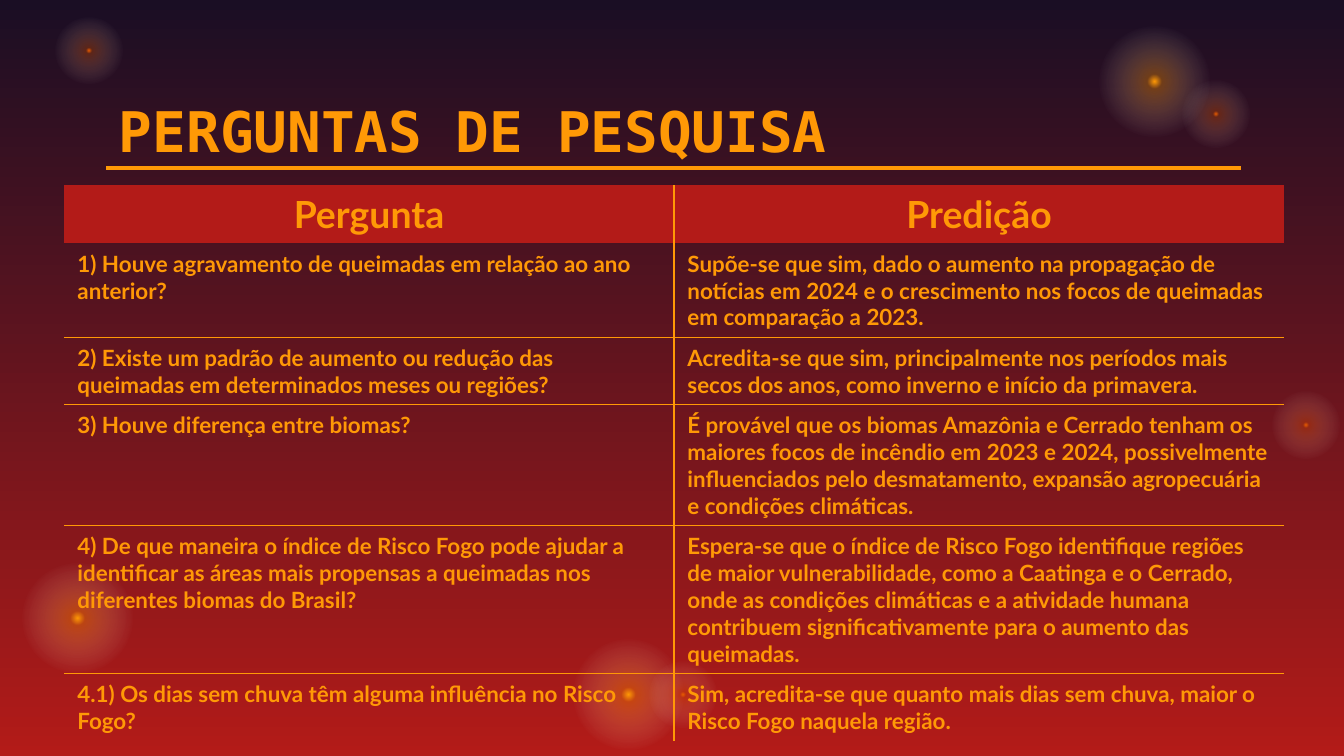
from lxml import etree
from pptx import Presentation
from pptx import util as u
from pptx.dml.color import RGBColor
from pptx.enum import shapes, text
from pptx.oxml import parse_xml
from pptx.oxml import ns

HUES = {"night": "1A0E24", "red": "B31B18", "gold": "FF9906",
        "ember": "EB5D00", "white": "FFFFFF"}
TITLE = "PERGUNTAS DE PESQUISA"
ROWS = [
    (58, "Pergunta", "Predição"),
    (94, "1) Houve agravamento de queimadas em relação ao ano anterior?",
     "Supõe-se que sim, dado o aumento na propagação de notícias em 2024 e o crescimento nos focos de queimadas em comparação a 2023."),
    (67, "2) Existe um padrão de aumento ou redução das queimadas em determinados meses ou regiões?",
     "Acredita-se que sim, principalmente nos períodos mais secos dos anos, como inverno e início da primavera."),
    (121, "3) Houve diferença entre biomas?",
     "É provável que os biomas Amazônia e Cerrado tenham os maiores focos de incêndio em 2023 e 2024, possivelmente influenciados pelo desmatamento, expansão agropecuária e condições climáticas."),
    (148, "4) De que maneira o índice de Risco Fogo pode ajudar a identificar as áreas mais propensas a queimadas nos diferentes biomas do Brasil?",
     "Espera-se que o índice de Risco Fogo identifique regiões de maior vulnerabilidade, como a Caatinga e o Cerrado, onde as condições climáticas e a atividade humana contribuem significativamente para o aumento das queimadas."),
    (67, "4.1) Os dias sem chuva têm alguma influência no Risco Fogo?",
     "Sim, acredita-se que quanto mais dias sem chuva, maior o Risco Fogo naquela região."),
]
GLOWS = {
    "ember": (70, [(0, 100), (6, 29), (68, 0), (100, 0)]),
    "gold": (145, [(0, 100), (7, 34), (54, 0), (100, 0)]),
}
SPARKS = [("ember", 1181, 79), ("gold", 5, 546), ("ember", 54, 16),
          ("ember", 1271, 390), ("gold", 556, 622), ("ember", 648, 660),
          ("gold", 1082, 9)]
FONTS = {
    "title": {"name": "DejaVu Sans Mono", "size": u.Pt(30), "bold": True},
    "head": {"name": "Lato", "size": u.Pt(20), "bold": True},
    "body": {"name": "Lato", "size": u.Pt(12), "bold": True},
}
WIDE, HIGH, COL = 1344, 756, 610


def px(n):
    return u.Emu(n * 6804)


def rgb(hue):
    return RGBColor.from_string(HUES[hue])


def write(par, words, kind):
    run = par.add_run()
    run.text = words
    for key, val in FONTS[kind].items():
        setattr(run.font, key, val)
    run.font.color.rgb = rgb("gold")


def spark(hue, x, y):
    size, stops = GLOWS[hue]
    dot = slide.shapes.add_shape(
        shapes.MSO_SHAPE.OVAL, px(x), px(y), px(size), px(size))
    dot.shadow.inherit = False
    dot.line.fill.background()
    marks = "".join(
        f'<a:gs pos="{pos * 1000}"><a:srgbClr val="{HUES[hue if alpha else "white"]}">'
        f'<a:alpha val="{alpha * 1000}"/></a:srgbClr></a:gs>' for pos, alpha in stops)
    glow = parse_xml(
        f'<a:gradFill {ns.nsdecls("a")} rotWithShape="1"><a:gsLst>{marks}</a:gsLst>'
        '<a:path path="circle"><a:fillToRect l="50000" t="50000" r="50000" b="50000"/>'
        '</a:path></a:gradFill>')
    dot._element.spPr.find(ns.qn("a:prstGeom")).addnext(glow)


def edge(cell, sides):
    props = cell._tc.get_or_add_tcPr()
    for i, side in enumerate("LRTB"):
        ln = etree.Element(ns.qn("a:ln" + side), w="9525")
        if side in sides:
            fill = etree.SubElement(ln, ns.qn("a:solidFill"))
            etree.SubElement(fill, ns.qn("a:srgbClr"), val=HUES["gold"])
        else:
            etree.SubElement(ln, ns.qn("a:noFill"))
        props.insert(i, ln)


deck = Presentation()
deck.slide_width, deck.slide_height = px(WIDE), px(HIGH)
slide = deck.slides.add_slide(deck.slide_layouts[6])
back = slide.background.fill
back.gradient()
back.gradient_angle = 270
for stop, hue in zip(back.gradient_stops, ("night", "red")):
    stop.color.rgb = rgb(hue)

for item in SPARKS:
    spark(*item)

frame = slide.shapes.add_textbox(px(106), px(79), px(1133), px(85)).text_frame
form = {"word_wrap": True, "vertical_anchor": text.MSO_ANCHOR.TOP,
        "margin_left": px(13), "margin_right": px(13),
        "margin_top": px(18), "margin_bottom": 0}
for key, val in form.items():
    setattr(frame, key, val)
write(frame.paragraphs[0], TITLE, "title")

rule = slide.shapes.add_connector(
    shapes.MSO_CONNECTOR.STRAIGHT, px(1241), px(168), px(106), px(168))
rule.line.color.rgb = rgb("gold")
rule.line.width = u.Pt(2.25)
etree.SubElement(rule._element.spPr, ns.qn("a:effectLst"))

table = slide.shapes.add_table(
    len(ROWS), 2, px(64), px(185), px(2 * COL), px(sum(r[0] for r in ROWS))).table
table.horz_banding = table.first_row = False
for col in table.columns:
    col.width = px(COL)
for i, (tall, *pair) in enumerate(ROWS):
    table.rows[i].height = px(tall)
    for j, words in enumerate(pair):
        cell = table.cell(i, j)
        par = cell.text_frame.paragraphs[0]
        if i:
            cell.fill.background()
        else:
            cell.fill.solid()
            cell.fill.fore_color.rgb = rgb("red")
            par.alignment = text.PP_ALIGN.CENTER
        write(par, words, "body" if i else "head")
        edge(cell, "RL"[j] + ("T" if i > 1 else "")
             + ("B" if 0 < i < len(ROWS) - 1 else ""))

deck.save("out.pptx")
